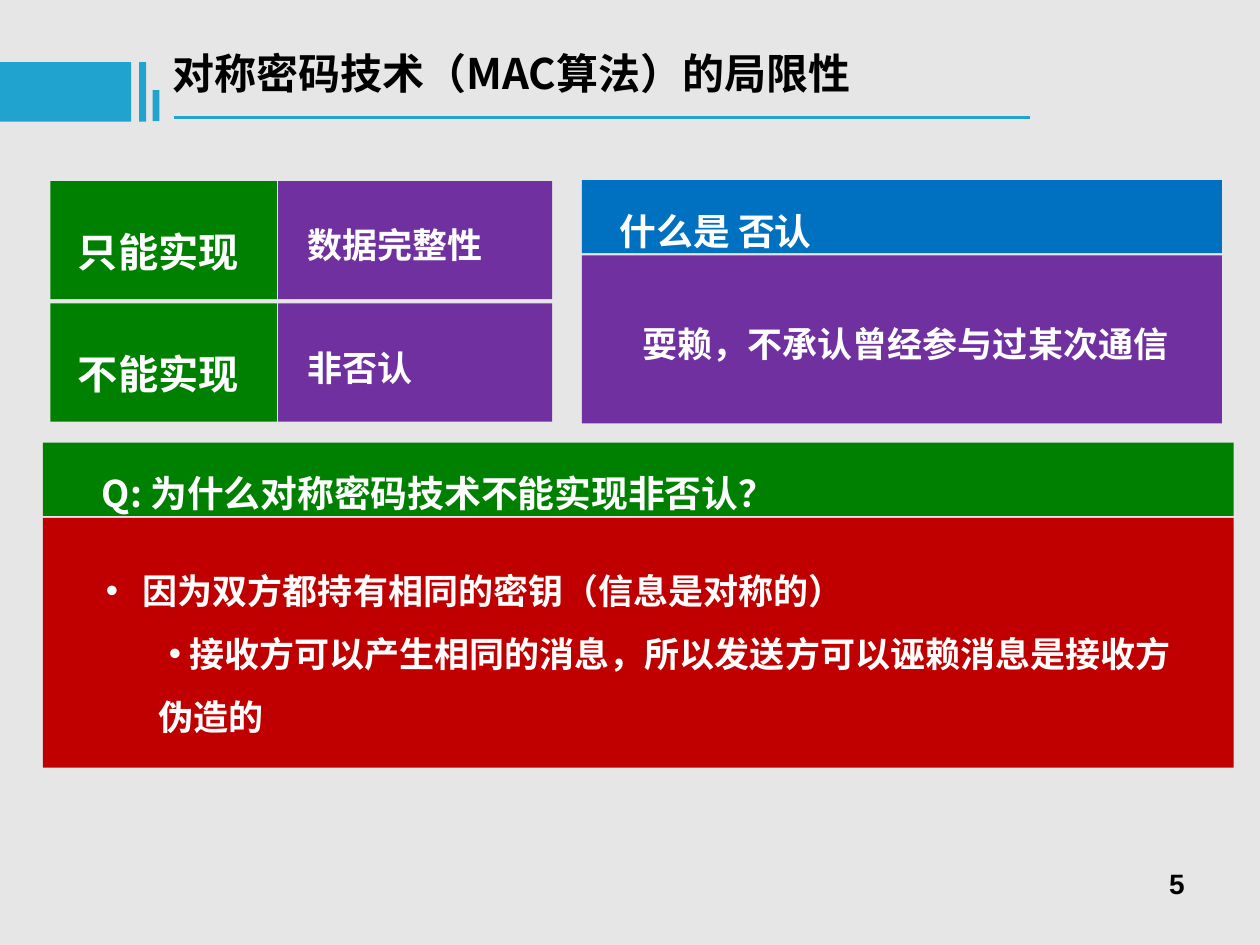
from lxml import etree
from pptx import Presentation
from pptx.dml.color import RGBColor
from pptx.enum.shapes import MSO_CONNECTOR, MSO_SHAPE
from pptx.enum.text import MSO_ANCHOR, MSO_AUTO_SIZE, PP_ALIGN
from pptx.oxml.ns import qn
from pptx.util import Pt

RECT = MSO_SHAPE.RECTANGLE
STRAIGHT = MSO_CONNECTOR.STRAIGHT
TOP = MSO_ANCHOR.TOP
NO_FIT = MSO_AUTO_SIZE.NONE
LEFT, RIGHT = PP_ALIGN.LEFT, PP_ALIGN.RIGHT
CJK = "Noto Sans CJK SC"
COLORS = {
    "background": "E7E6E6", "accent": "21A3D0", "green": "008000",
    "purple": "7030A0", "blue": "0070C0", "red": "C00000",
    "white": "FFFFFF", "black": "000000",
}

prs = Presentation()
prs.slide_width, prs.slide_height = Pt(720), Pt(540)
slide = prs.slides.add_slide(prs.slide_layouts[1])
slide.background.fill.solid()
slide.background.fill.fore_color.rgb = RGBColor.from_string(COLORS["background"])


def add_block(x, y, w, h, color):
    block = slide.shapes.add_shape(RECT, Pt(x), Pt(y), Pt(w), Pt(h))
    block.shadow.inherit = False
    block.fill.solid()
    block.fill.fore_color.rgb = RGBColor.from_string(COLORS[color])
    block.line.fill.background()
    return block


def write(x, y, w, h, lines, size, color="white", spacing=1.5, font=CJK,
          align=LEFT, holder=None, bullets=()):
    """Fill a placeholder, or a new text box; bullets holds (margin, indent) pairs."""
    holder = holder or slide.shapes.add_textbox(0, 0, 0, 0)
    holder.left, holder.top, holder.width, holder.height = Pt(x), Pt(y), Pt(w), Pt(h)
    frame = holder.text_frame
    frame.word_wrap, frame.auto_size, frame.vertical_anchor = True, NO_FIT, TOP
    frame.text = "\n".join(lines)
    for level, paragraph in enumerate(frame.paragraphs):
        paragraph.alignment, paragraph.line_spacing = align, spacing
        paragraph.space_before = Pt(0)
        if bullets:
            paragraph.level = level
            props = paragraph._p.get_or_add_pPr()
            margin, indent = bullets[level]
            props.set("marL", str(Pt(margin)))
            props.set("indent", str(Pt(indent)))
            tint = etree.SubElement(props, qn("a:buClr"))
            etree.SubElement(tint, qn("a:srgbClr"), val=COLORS[color])
            etree.SubElement(props, qn("a:buFont"), typeface="Arial")
            etree.SubElement(props, qn("a:buChar"), char="•")
        paragraph.font.size, paragraph.font.bold = Pt(size), True
        paragraph.font.color.rgb = RGBColor.from_string(COLORS[color])
        paragraph.font.name = font
        run_defaults = paragraph._p.pPr.find(qn("a:defRPr"))
        etree.SubElement(run_defaults, qn("a:ea"), typeface=font)


# Page number
write(516.5, 491.5, 167.5, 37.5, ["5"], 16, "black", 1, "Arial", RIGHT)

# Title with its bars and rule
write(91.5, 23.5, 482.5, 36, ["对称密码技术（MAC算法）的局限性"], 24, "black", 1,
      holder=slide.shapes.title)
for x, y, w, h in [(0, 35.5, 75, 34), (79.5, 35.5, 4, 34), (87.3, 51.5, 3.8, 17.8)]:
    add_block(x, y, w, h, "accent")
rule = slide.shapes.add_connector(STRAIGHT, Pt(99.4), Pt(67), Pt(588.8), Pt(67))
rule.line.color.rgb = RGBColor.from_string(COLORS["accent"])
rule.line.width = Pt(1.5)
etree.SubElement(rule._element.spPr, qn("a:effectLst"))

# What can and cannot be achieved
abilities = [("只能实现", "数据完整性"), ("不能实现", "非否认")]
for row, (ability, goal) in enumerate(abilities):
    top = 103.5 + row * 69.9
    add_block(159, top, 156.5, 67.5, "purple")
    add_block(28.8, top, 129.5, 67.5, "green")
    write(37.4, top + 8.8, 118, 49, [ability], 23)
    write(168.5, top + 8.8, 130, 43.5, [goal], 20)

# What repudiation means
add_block(332.6, 145.9, 365.6, 96, "purple")
write(360, 168.5, 317.5, 43.5, ["耍赖，不承认曾经参与过某次通信"], 20)
add_block(332.6, 102.9, 365.6, 41.8, "blue")
write(347, 102.9, 342, 45.5, ["什么是 否认"], 21)

# Question and answer
answer_panel = add_block(24.5, 296, 680.5, 142.6, "red")
answer = slide.placeholders[1]
answer_panel._element.addnext(answer._element)
write(53.3, 309.6, 638.6, 115.2,
      [" 因为双方都持有相同的密钥（信息是对称的）",
       " 接收方可以产生相同的消息，所以发送方可以诬赖消息是接收方伪造的"],
      20, holder=answer, bullets=[(16.5, -16.5), (30.2, 5.8)])
add_block(24.5, 253, 680.5, 41.8, "green")
write(51.1, 253, 636.5, 45.5, ["Q: 为什么对称密码技术不能实现非否认？"], 21)

prs.save("out.pptx")
